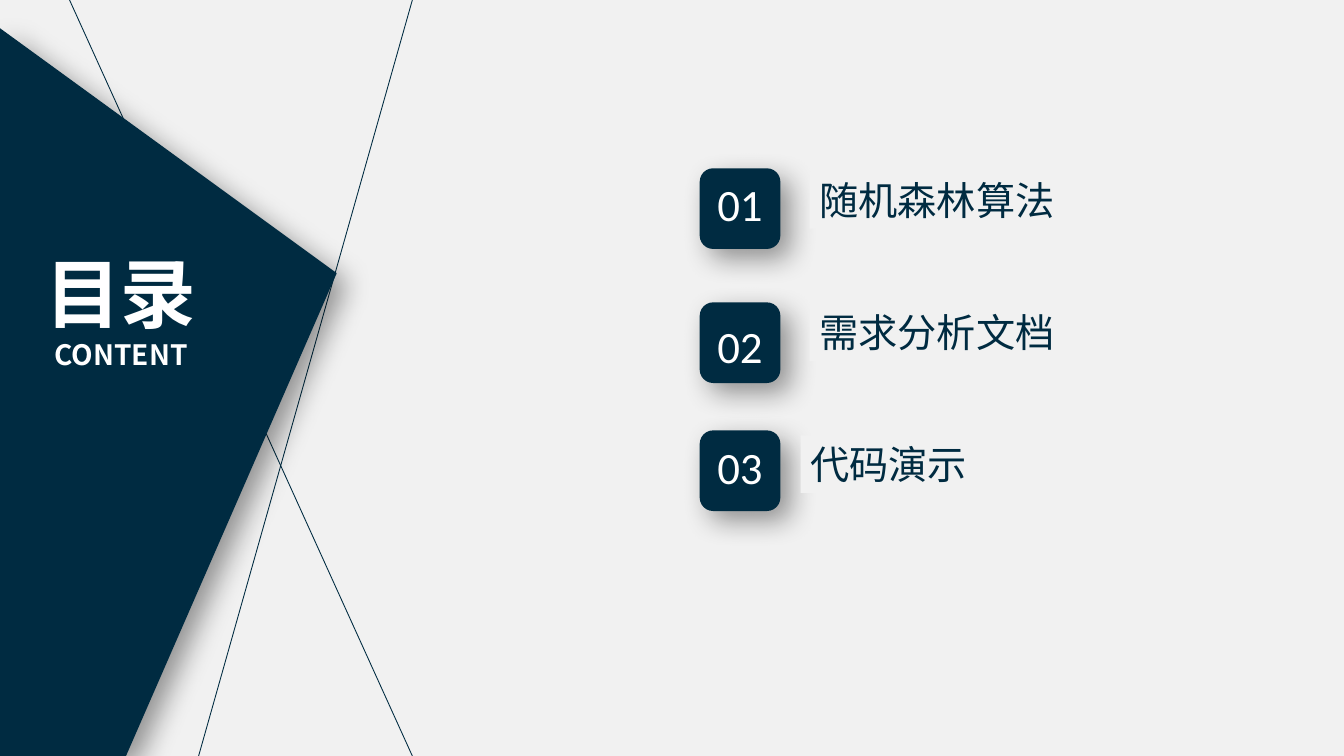
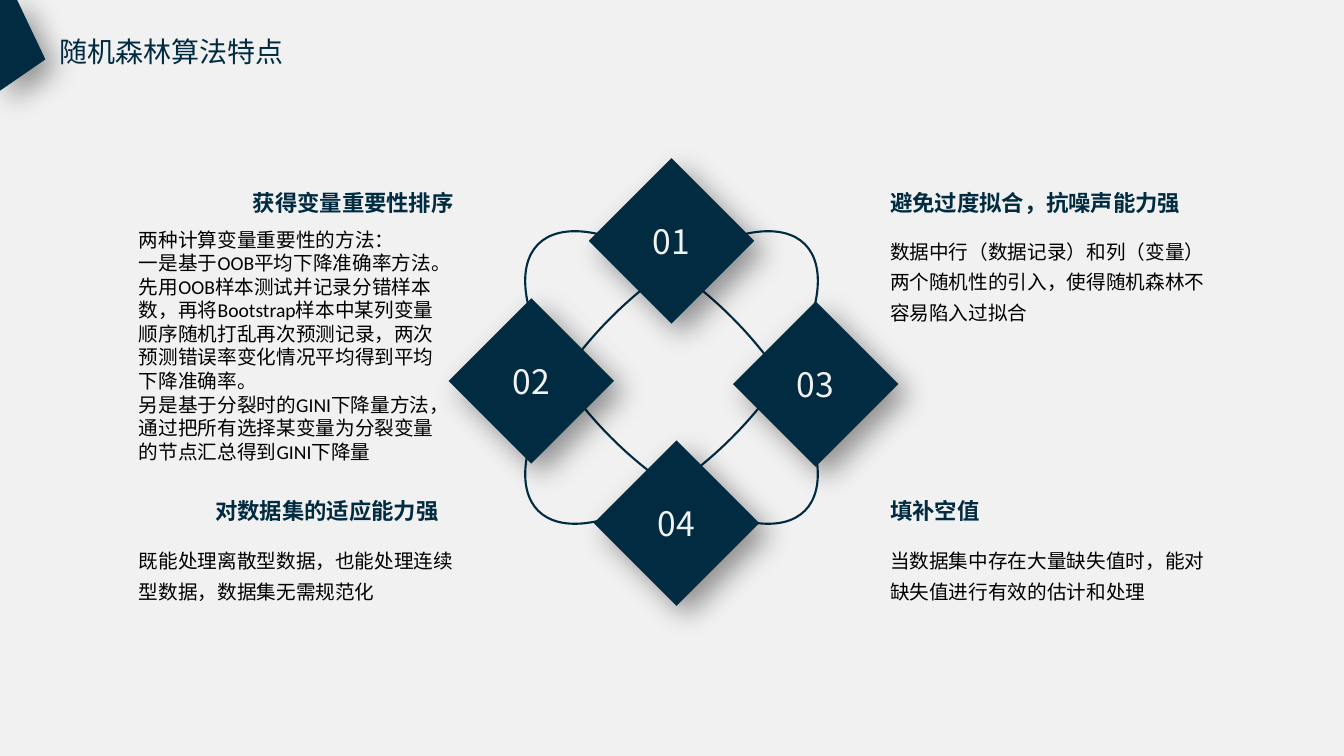
from lxml import etree
from pptx import Presentation
from pptx.dml.color import RGBColor
from pptx.enum.shapes import MSO_CONNECTOR, MSO_SHAPE
from pptx.enum.text import MSO_ANCHOR, MSO_AUTO_SIZE, PP_ALIGN
from pptx.oxml.ns import qn
from pptx.util import Inches, Pt

LEFT, CENTER, RIGHT = PP_ALIGN.LEFT, PP_ALIGN.CENTER, PP_ALIGN.RIGHT
TOP, MIDDLE = MSO_ANCHOR.TOP, MSO_ANCHOR.MIDDLE
ROUNDED, DIAMOND = MSO_SHAPE.ROUNDED_RECTANGLE, MSO_SHAPE.FLOWCHART_DECISION
ELLIPSE, STRAIGHT = MSO_SHAPE.OVAL, MSO_CONNECTOR.STRAIGHT

COLORS = {"navy": "002B41", "paper": "F1F1F1", "white": "FFFFFF",
          "pale": "F2F2F2", "black": "000000"}
SANS, SANS_JP, LATIN = "Noto Sans CJK SC", "Noto Sans CJK JP", "Calibri"
TITLE_ONLY = 5

# Text formats
COVER = {"size": Pt(54), "bold": True, "name": SANS, "color": "white"}
COVER_SUB = {**COVER, "size": Pt(20)}
PAGE_TITLE = {"size": Pt(20), "name": SANS_JP, "color": "navy"}
AGENDA_NUMBER = {"size": Pt(32), "name": LATIN, "color": "white"}
AGENDA_LABEL = {"size": Pt(28), "name": SANS, "color": "navy"}
DIAMOND_NUMBER = {"size": Pt(24), "name": SANS, "color": "pale"}
HEADING = {"size": Pt(16), "bold": True, "name": SANS, "color": "navy"}
BODY = {"size": Pt(14), "name": LATIN, "color": "black"}

# Agenda rows: number, label, square top, number inset, label left and top
AGENDA = [
    ("01", "随机森林算法", 1.67, 0.05, 8.03, 1.70),
    ("02", "需求分析文档", 3.00, 0.12, 8.03, 3.01),
    ("03", "代码演示", 4.27, 0.05, 7.94, 4.32),
]

DIAMONDS = [("01", 5.84, 1.57), ("03", 7.27, 2.99),
            ("04", 5.89, 4.37), ("02", 4.45, 2.96)]

# Features: heading, its box, its alignment, paragraphs, their box, line spacing
FEATURES = [
    ("获得变量重要性排序", (2.22, 1.83, 2.38, 0.37), RIGHT,
     ["两种计算变量重要性的方法：",
      "一是基于OOB平均下降准确率方法。先用OOB样本测试并记录分错样本数，"
      "再将Bootstrap样本中某列变量顺序随机打乱再次预测记录，"
      "两次预测错误率变化情况平均得到平均下降准确率。",
      "另是基于分裂时的GINI下降量方法，"
      "通过把所有选择某变量为分裂变量的节点汇总得到GINI下降量"],
     (1.28, 2.21, 3.28, 2.46), 1.0),
    ("避免过度拟合，抗噪声能力强", (8.73, 1.83, 3.2, 0.37), LEFT,
     ["数据中行（数据记录）和列（变量）两个随机性的引入，使得随机森林不容易陷入过拟合"],
     (8.73, 2.26, 3.37, 0.99), 1.3),
    ("对数据集的适应能力强", (1.72, 4.88, 2.73, 0.37), RIGHT,
     ["既能处理离散型数据，也能处理连续型数据，数据集无需规范化"],
     (1.28, 5.33, 3.37, 0.68), 1.3),
    ("填补空值", (8.73, 4.88, 1.9, 0.37), LEFT,
     ["当数据集中存在大量缺失值时，能对缺失值进行有效的估计和处理"],
     (8.73, 5.33, 3.37, 0.71), 1.3),
]


def rgb(name):
    return RGBColor.from_string(COLORS[name])


def inches(values):
    return [Inches(value) for value in values]


def style_span(span, style):
    for key, value in style.items():
        if key == "color":
            span.font.color.rgb = rgb(value)
        else:
            setattr(span.font, key, value)
    # Chinese characters take their own typeface
    east_asian = etree.SubElement(span.font._element, qn("a:ea"))
    east_asian.set("typeface", SANS if style["name"] == LATIN else style["name"])


def fill_text(shape, lines, align=LEFT, anchor=TOP, spacing=1.0):
    """Write (text, style) pairs as the paragraphs of a shape."""
    frame = shape.text_frame
    frame.word_wrap = True
    frame.auto_size = MSO_AUTO_SIZE.NONE
    frame.vertical_anchor = anchor
    for index, (text, style) in enumerate(lines):
        para = frame.paragraphs[0] if index == 0 else frame.add_paragraph()
        para.alignment, para.line_spacing = align, spacing
        span = para.add_run()
        span.text = text
        style_span(span, style)


def add_text(page, box, lines, **layout):
    shape = page.shapes.add_textbox(*inches(box))
    fill_text(shape, lines, **layout)
    return shape


def place_title(page, box, lines, align=LEFT):
    title = page.shapes.title
    title.left, title.top, title.width, title.height = inches(box)
    fill_text(title, lines, align)
    # Bring the title in front of the navy outline
    title.element.getparent().append(title.element)


def make_navy(shape):
    """Give a shape the navy fill and the soft lower-right shadow."""
    shape.fill.solid()
    shape.fill.fore_color.rgb = rgb("navy")
    shape.line.fill.background()
    shape.shadow.inherit = False
    effects = shape.element.spPr.find(qn("a:effectLst"))
    shadow = etree.SubElement(effects, qn("a:outerShdw"), blurRad=str(Pt(20)),
                              dist=str(Pt(10)), dir="2700000", algn="tl",
                              rotWithShape="0")
    color = etree.SubElement(shadow, qn("a:srgbClr"), val=COLORS["black"])
    etree.SubElement(color, qn("a:alpha"), val="40000")


def add_navy_shape(page, kind, box):
    shape = page.shapes.add_shape(kind, *inches(box))
    make_navy(shape)
    return shape


def add_navy_outline(page, points):
    start, *others = [inches(point) for point in points]
    builder = page.shapes.build_freeform(*start)
    builder.add_line_segments(others, close=True)
    make_navy(builder.convert_to_shape())


def add_line(page, start, end):
    line = page.shapes.add_connector(STRAIGHT, *inches(start + end))
    line.line.color.rgb = rgb("navy")
    line.line.width = Pt(0.63)
    etree.SubElement(line.element.spPr, qn("a:effectLst"))


def add_ring(page, box, rotation):
    ring = page.shapes.add_shape(ELLIPSE, *inches(box))
    ring.rotation = rotation
    ring.fill.background()
    ring.line.color.rgb = rgb("navy")
    ring.line.width = Pt(1.5)
    ring.shadow.inherit = False


def build_agenda(page):
    # Left panel
    add_line(page, (4.09, 0), (1.97, 7.5))
    add_line(page, (4.09, 7.5), (0.69, 0))
    add_navy_outline(page, [(1.25, 7.5), (0, 7.5), (0, 0.28), (3.34, 2.71)])
    place_title(page, (0.24, 2.4, 1.92, 1.35),
                [("目录", COVER), ("CONTENT", COVER_SUB)], CENTER)
    # Numbered rows
    for number, label, top, inset, label_left, label_top in AGENDA:
        square = add_navy_shape(page, ROUNDED, (6.94, top, 0.8, 0.8))
        fill_text(square, [(number, AGENDA_NUMBER)], CENTER)
        frame = square.text_frame
        frame.margin_left = frame.margin_right = 0
        frame.margin_top = Inches(inset)
        tag = add_text(page, (label_left, label_top, 3.17, 0.57),
                       [(label, AGENDA_LABEL)])
        tag.fill.solid()
        tag.fill.fore_color.rgb = rgb("paper")


def build_features(page):
    # Page heading
    add_navy_outline(page, [(0.17, 0), (0, 0), (0, 0.9), (0.45, 0.59)])
    place_title(page, (0.49, 0.29, 6, 0.44), [("随机森林算法特点", PAGE_TITLE)])
    # Crossed rings with numbered diamonds
    for rotation in (45, 135):
        add_ring(page, (4.79, 2.9, 3.74, 1.69), rotation)
    for number, left, top in DIAMONDS:
        diamond = add_navy_shape(page, DIAMOND, (left, top, 1.64, 1.64))
        fill_text(diamond, [(number, DIAMOND_NUMBER)], CENTER, MIDDLE)
    # Explanations
    for heading, heading_box, align, texts, body_box, spacing in FEATURES:
        add_text(page, heading_box, [(heading, HEADING)], align=align)
        add_text(page, body_box, [(text, BODY) for text in texts], spacing=spacing)


def main():
    deck = Presentation()
    deck.slide_width, deck.slide_height = Inches(13.33), Inches(7.5)
    background = deck.slide_master.background.fill
    background.solid()
    background.fore_color.rgb = rgb("paper")
    for build in (build_agenda, build_features):
        build(deck.slides.add_slide(deck.slide_layouts[TITLE_ONLY]))
    deck.save("out.pptx")


if __name__ == "__main__":
    main()
